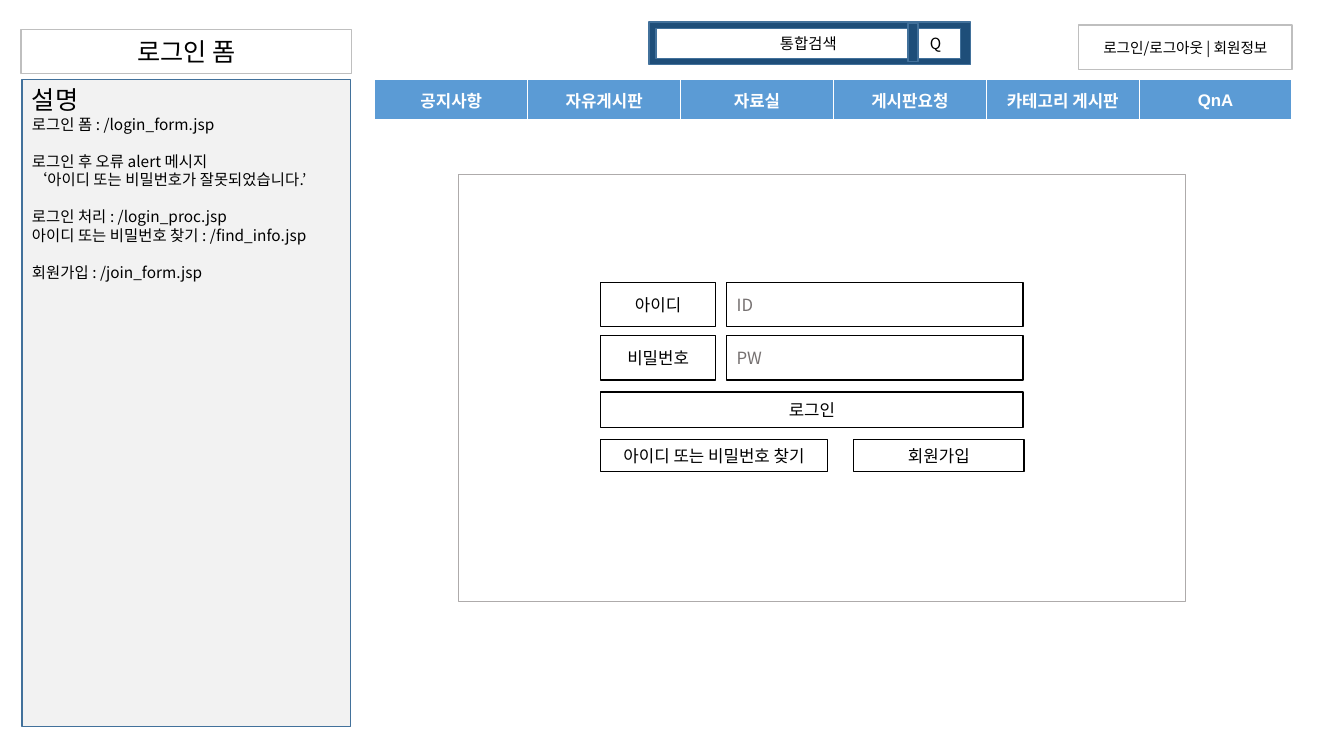
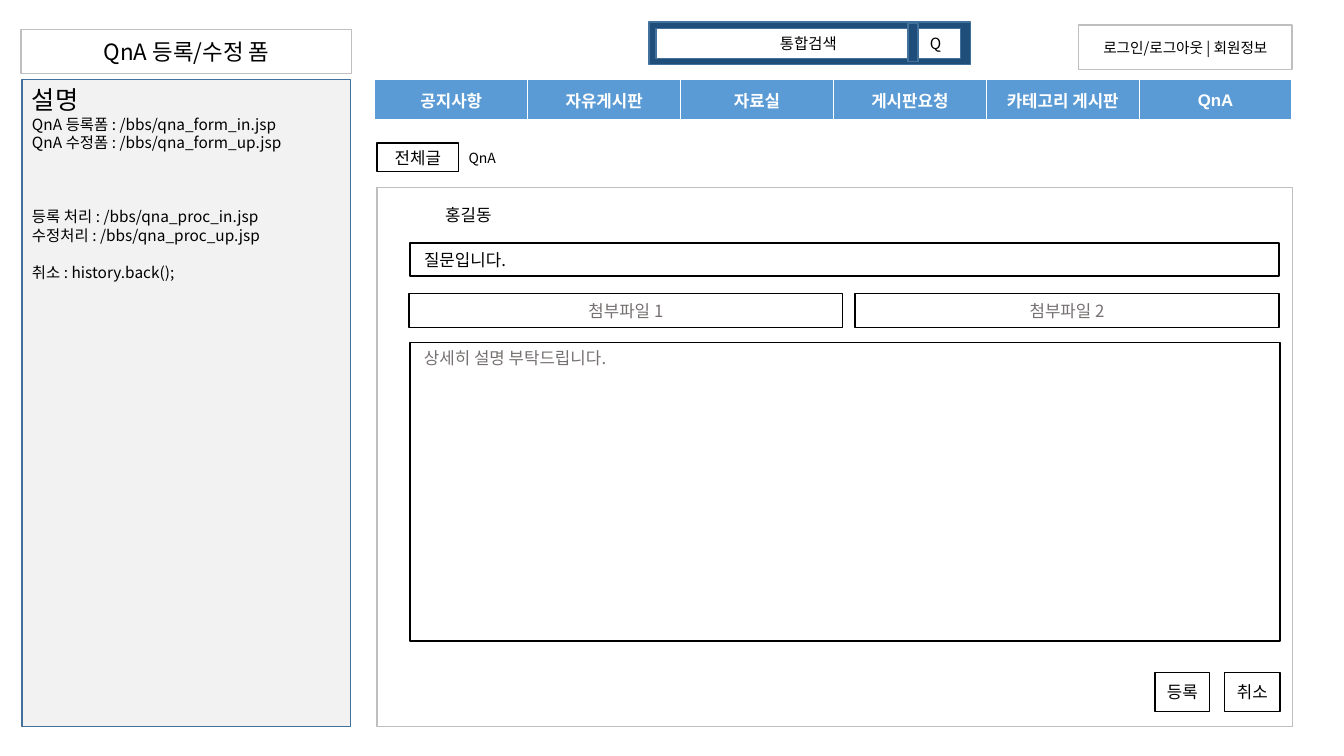
"""Build two wireframe slides: a login form and a QnA editing form."""
from lxml import etree
from pptx import Presentation
from pptx.dml.color import RGBColor
from pptx.enum import shapes, text
from pptx.oxml.ns import qn
from pptx.util import Pt

BLACK = RGBColor(0x00, 0x00, 0x00)
WHITE = RGBColor(0xFF, 0xFF, 0xFF)
HINT = RGBColor(0x76, 0x71, 0x71)
SILVER = RGBColor(0xBF, 0xBF, 0xBF)
GRAY = RGBColor(0xAE, 0xAB, 0xAB)
PALE = RGBColor(0xF2, 0xF2, 0xF2)
NAVY = RGBColor(0x1E, 0x4E, 0x79)
STEEL = RGBColor(0x42, 0x71, 0x9B)
BLUE = RGBColor(0x5B, 0x9B, 0xD5)
FONT = "Noto Sans CJK KR"
MENU_FONT = "Arial"
LEFT, CENTER = text.PP_ALIGN.LEFT, text.PP_ALIGN.CENTER
TOP, MIDDLE = text.MSO_ANCHOR.TOP, text.MSO_ANCHOR.MIDDLE
LINE_PITCH = 13.2

MENU = ["공지사항", "자유게시판", "자료실", "게시판요청", "카테고리 게시판", "QnA"]
MENU_AT = (267.8, 56.9, 655.2, 29.5)
ACCOUNT_AT = (770.4, 18, 152.6, 31.7)
TITLE_AT = (15.1, 20.9, 236.2, 31.7)
NOTES_AT = (15.8, 56.9, 234.7, 462.2)
SEARCH = [
    ("", (463.7, 15.8, 229.7, 30.2), dict(fill=NAVY, line=STEEL)),
    ("통합검색", (468.7, 20.2, 217.4, 21.6), dict(line=STEEL, size=11)),
    ("", (648.7, 16.6, 7.2, 27.4), dict(fill=NAVY, line=STEEL)),
    ("Q", (653, 14.4, 35.3, 28.8),
     dict(fill=None, line=None, size=11, align=LEFT, anchor=TOP, insets=(11.2, 10, 7.2, 0))),
]

FORM_LEFT, FORM_WIDTH = 429.1, 301.7
INPUT_LEFT, INPUT_WIDTH = 519.1, 211.7
LOGIN_FIELDS = [("아이디", "ID"), ("비밀번호", "PW")]
LOGIN_FORM = [("", (327.6, 124.6, 519.1, 305.3), dict(line=GRAY))]
for row, (label, hint) in enumerate(LOGIN_FIELDS):
    field_top = 201.6 + 38.2 * row
    LOGIN_FORM += [
        (label, (FORM_LEFT, field_top, 82.1, 31.7), {}),
        (hint, (INPUT_LEFT, field_top, INPUT_WIDTH, 31.7), dict(color=HINT, align=LEFT)),
    ]
LOGIN_FORM += [
    ("로그인", (FORM_LEFT, 280.1, FORM_WIDTH, 25.2), {}),
    ("아이디 또는 비밀번호 찾기", (FORM_LEFT, 313.9, 162, 23), {}),
    ("회원가입", (609.8, 313.9, 121.7, 23), {}),
]

INDENTED = dict(align=LEFT, insets=(9.9, 3.6, 7.2, 3.6))
QNA_FORM = [
    ("전체글", (269.3, 102.2, 58.3, 20.2), dict(anchor=TOP)),
    ("QnA", (327.6, 103, 82.1, 19.4),
     dict(fill=None, line=None, size=10, align=LEFT, anchor=TOP)),
    ("", (269.3, 133.9, 653.8, 385.2), dict(line=SILVER)),
    ("홍길동", (280.1, 141.1, 113.8, 25.2), dict(line=None, insets=(7.2, 3.6, 12, 3.6))),
    ("질문입니다.", (293, 173.5, 620.6, 23.8), INDENTED),
    ("첨부파일 1", (292.3, 209.5, 309.6, 24.5), dict(color=HINT)),
    ("첨부파일 2", (610.6, 209.5, 303.1, 24.5), dict(color=HINT)),
    ("상세히 설명 부탁드립니다.", (293, 244.8, 621.4, 213.1),
     dict(INDENTED, color=HINT, anchor=TOP)),
    ("등록", (825.1, 480.2, 38.9, 28.1), {}),
    ("취소", (874.8, 480.2, 39.6, 28.1), {}),
]

SLIDES = [
    dict(title="로그인 폼", title_size=18, form=LOGIN_FORM, notes=[
        (0, "로그인 폼 : /login_form.jsp"),
        (1, "로그인 후 오류 alert 메시지"),
        (0, "‘아이디 또는 비밀번호가 잘못되었습니다.’"),
        (1, "로그인 처리 : /login_proc.jsp"),
        (0, "아이디 또는 비밀번호 찾기 : /find_info.jsp"),
        (1, "회원가입 : /join_form.jsp"),
    ]),
    dict(title="QnA 등록/수정 폼", title_size=16, form=QNA_FORM, notes=[
        (0, "QnA 등록폼 : /bbs/qna_form_in.jsp"),
        (0, "QnA 수정폼 : /bbs/qna_form_up.jsp"),
        (3, "등록 처리 : /bbs/qna_proc_in.jsp"),
        (0, "수정처리 : /bbs/qna_proc_up.jsp"),
        (1, "취소 : history.back();"),
    ]),
]


def points(values):
    return [Pt(value) for value in values]


def write(paragraph, content, size, color=BLACK, align=CENTER, name=FONT, bold=False):
    paragraph.text = content
    paragraph.alignment = align
    font = paragraph.font
    font.size, font.name, font.bold = Pt(size), name, bold
    font.color.rgb = color
    defaults = paragraph._p.pPr.find(qn("a:defRPr"))
    etree.SubElement(defaults, qn("a:ea"), typeface=FONT)


def add_box(container, content, at, fill=WHITE, line=BLACK, size=12, color=BLACK,
            align=CENTER, anchor=MIDDLE, insets=(7.2, 3.6, 7.2, 3.6)):
    if fill is None:
        shape = container.add_textbox(*points(at))
    else:
        shape = container.add_shape(shapes.MSO_SHAPE.RECTANGLE, *points(at))
        shape.shadow.inherit = False
        shape.fill.solid()
        shape.fill.fore_color.rgb = fill
    if line is None:
        shape.line.fill.background()
    else:
        shape.line.color.rgb = line
        shape.line.width = Pt(1)
    frame = shape.text_frame
    frame.word_wrap = True
    frame.vertical_anchor = anchor
    (frame.margin_left, frame.margin_top,
     frame.margin_right, frame.margin_bottom) = points(insets)
    if content:
        write(frame.paragraphs[0], content, size, color, align)
    return shape


def add_menu(slide):
    table = slide.shapes.add_table(1, len(MENU), *points(MENU_AT)).table
    table.first_row = table.horz_banding = False
    for column, label in enumerate(MENU):
        table.columns[column].width = Pt(MENU_AT[2] / len(MENU))
        cell = table.cell(0, column)
        cell.vertical_anchor = MIDDLE
        write(cell.text_frame.paragraphs[0], label, 12, WHITE, name=MENU_FONT, bold=True)
        properties = cell._tc.get_or_add_tcPr()
        for side, width in (("lnL", 1), ("lnR", 1), ("lnT", 1), ("lnB", 3)):
            border = etree.SubElement(properties, qn(f"a:{side}"), w=str(Pt(width)))
            paint = etree.SubElement(border, qn("a:solidFill"))
            etree.SubElement(paint, qn("a:srgbClr"), val=str(WHITE))
        cell.fill.solid()
        cell.fill.fore_color.rgb = BLUE


def add_notes(slide, notes):
    shape = add_box(slide.shapes, "설명", NOTES_AT, fill=PALE, line=STEEL,
                    size=18, align=LEFT, anchor=TOP)
    for gap_lines, note in notes:
        paragraph = shape.text_frame.add_paragraph()
        write(paragraph, note, 11, align=LEFT)
        paragraph.space_before = Pt(gap_lines * LINE_PITCH)


def add_boxes(container, boxes):
    for content, at, style in boxes:
        add_box(container, content, at, **style)


def build_slide(presentation, page):
    slide = presentation.slides.add_slide(presentation.slide_layouts[6])
    add_box(slide.shapes, "로그인/로그아웃 | 회원정보", ACCOUNT_AT, line=SILVER, size=10.5)
    add_boxes(slide.shapes.add_group_shape().shapes, SEARCH)
    add_menu(slide)
    add_box(slide.shapes, page["title"], TITLE_AT, line=SILVER, size=page["title_size"])
    add_notes(slide, page["notes"])
    add_boxes(slide.shapes, page["form"])


def main():
    presentation = Presentation()
    presentation.slide_width, presentation.slide_height = Pt(960), Pt(540)
    for page in SLIDES:
        build_slide(presentation, page)
    presentation.save("out.pptx")


if __name__ == "__main__":
    main()
